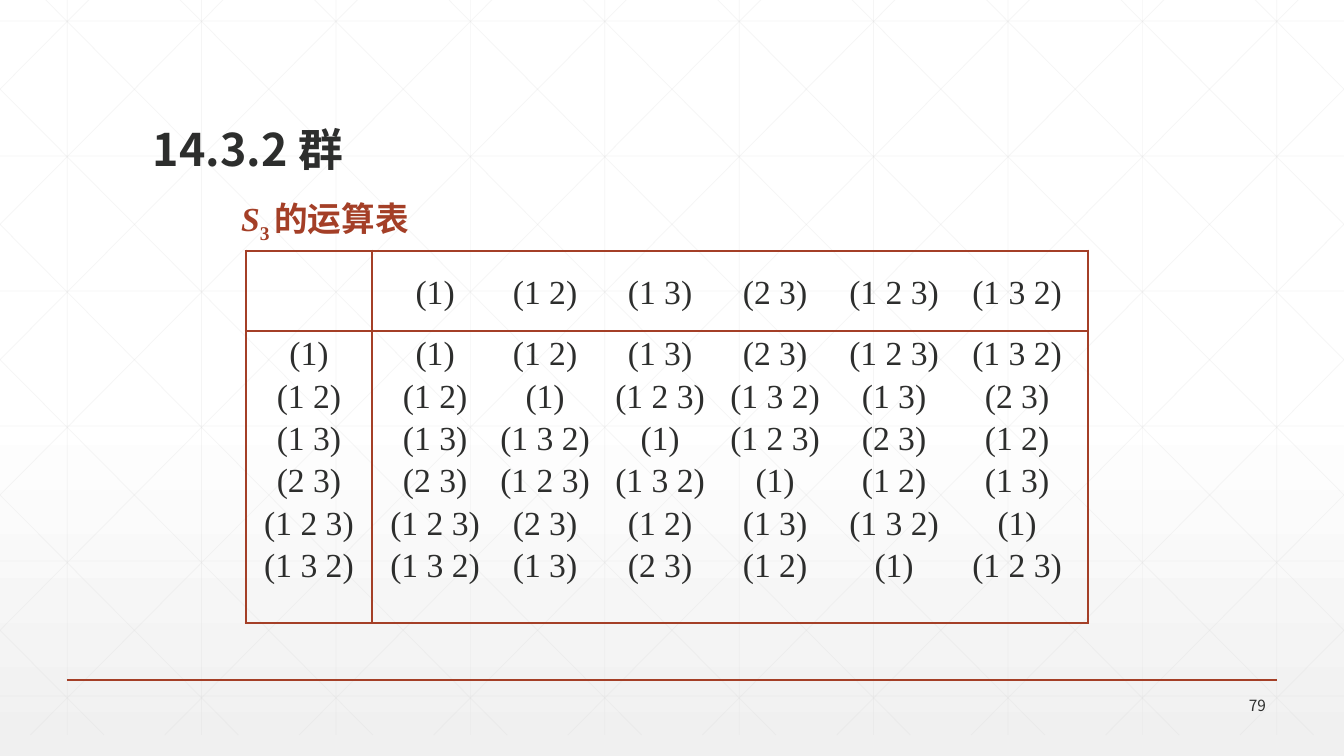
from pptx import Presentation, util as u
from pptx.dml.color import RGBColor
from pptx.enum import shapes, text
from pptx.oxml import parse_xml
from pptx.oxml.ns import nsdecls, qn

SANS, SERIF = "Noto Sans CJK SC", "Times New Roman"
RUST, INK, GRID = "A43F27", "2D2E2D", "D9D9D9"
WIDTH, HEIGHT = 1344, 756
BODY = {"name": SERIF, "size": 24, "color": INK}
CAPTION = {"name": SERIF, "size": 24, "color": RUST, "bold": True}

HEADING = [("14.3.2 群", {"name": SANS, "size": 32, "color": INK, "bold": True})]
CAPTION_RUNS = [
    ("S", {**CAPTION, "italic": True}),
    ("3 ", {**CAPTION, "baseline": -25}),
    ("的运算表", CAPTION),
]
PAGE_NUMBER = [("79", {"name": SANS, "size": 11, "color": INK})]
ELEMENTS = ["(1)", "(1 2)", "(1 3)", "(2 3)", "(1 2 3)", "(1 3 2)"]
PRODUCTS = [
    ["(1)", "(1 2)", "(1 3)", "(2 3)", "(1 2 3)", "(1 3 2)"],
    ["(1 2)", "(1)", "(1 2 3)", "(1 3 2)", "(1 3)", "(2 3)"],
    ["(1 3)", "(1 3 2)", "(1)", "(1 2 3)", "(2 3)", "(1 2)"],
    ["(2 3)", "(1 2 3)", "(1 3 2)", "(1)", "(1 2)", "(1 3)"],
    ["(1 2 3)", "(2 3)", "(1 2)", "(1 3)", "(1 3 2)", "(1)"],
    ["(1 3 2)", "(1 3)", "(2 3)", "(1 2)", "(1)", "(1 2 3)"],
]
TAB_CENTRES = [53, 163, 278, 393, 512, 635]
TABLE_BOX = (246, 251, 842, 372)
COLUMN_WIDTHS, ROW_HEIGHTS = (126, 716), (80, 292)
GRID_TOP, GRID_BOTTOM, DIAGONAL_RUN = -21, 735, 751


def px(length):
    """Turn slide pixels into EMU."""
    return u.Emu(round(length * 914400 / 100.8))


def rgb(value):
    """Turn a hex string into a colour."""
    return RGBColor.from_string(value)


def add_runs(paragraph, runs):
    """Write formatted runs into a paragraph."""
    for words, formats in runs:
        run = paragraph.add_run()
        run.text = words
        values = dict(formats)
        run.font.color.rgb = rgb(values.pop("color"))
        run.font.size = u.Pt(values.pop("size"))
        properties = run.font._element
        if "baseline" in values:
            properties.set("baseline", str(values.pop("baseline") * 1000))
        for name, value in values.items():
            setattr(run.font, name, value)
        properties.append(parse_xml(f'<a:ea {nsdecls("a")} typeface="{SANS}"/>'))


def fill_box(shape, box, runs, anchor, **formats):
    """Place a text shape and write its single paragraph."""
    shape.left, shape.top, shape.width, shape.height = map(px, box)
    frame = shape.text_frame
    frame.word_wrap = True
    frame.auto_size = text.MSO_AUTO_SIZE.NONE
    frame.vertical_anchor = anchor
    paragraph = frame.paragraphs[0]
    for name, value in formats.items():
        setattr(paragraph, name, value)
    add_runs(paragraph, runs)


def add_line(parent, start, end, color, width, opacity=100):
    """Draw a straight line without a shadow."""
    line = parent.add_connector(shapes.MSO_CONNECTOR.STRAIGHT, *map(px, (*start, *end)))
    line.line.color.rgb = rgb(color)
    line.line.width = u.Pt(width)
    if opacity < 100:
        swatch = next(line.element.iter(qn("a:srgbClr")))
        swatch.append(parse_xml(f'<a:alpha {nsdecls("a")} val="{opacity * 1000}"/>'))
    line.element.spPr.append(parse_xml(f'<a:effectLst {nsdecls("a")}/>'))


def grid_lines():
    """Yield the ends of upright, level and mirrored slanted grid lines."""
    step = WIDTH / 10
    for index in range(10):
        x = step * (index + 0.5)
        yield (x, GRID_TOP), (x, GRID_BOTTOM)
    for index in range(6):
        y = 21 + 135 * index
        yield (0, y), (WIDTH, y)
    slope = (GRID_BOTTOM - GRID_TOP) / DIAGONAL_RUN
    for index in range(-5, 10):
        origin = 25 + step * index
        ends = [(x, GRID_TOP + (x - origin) * slope)
                for x in (max(origin, 0), min(origin + DIAGONAL_RUN, WIDTH))]
        yield tuple(ends)
        yield tuple((WIDTH - x, y) for x, y in ends)


def fill_cell(cell, lines, tabs=(), **formats):
    """Write one paragraph per line, with centred tab stops."""
    for index, words in enumerate(lines):
        frame = cell.text_frame
        paragraph = frame.add_paragraph() if index else frame.paragraphs[0]
        for name, value in formats.items():
            setattr(paragraph, name, value)
        add_runs(paragraph, [(words, BODY)])
        if tabs:
            stops = "".join(f'<a:tab pos="{px(centre)}" algn="ctr"/>' for centre in tabs)
            paragraph._p.get_or_add_pPr().append(
                parse_xml(f'<a:tabLst {nsdecls("a")}>{stops}</a:tabLst>'))


def frame_cell(cell, outer_edges):
    """Give a cell clear fill, thick outer and thin inner borders."""
    properties = cell._tc.get_or_add_tcPr()
    for side in "LRTB":
        width = u.Pt(2.25 if side in outer_edges else 1)
        properties.append(parse_xml(
            f'<a:ln{side} {nsdecls("a")} w="{width}"><a:solidFill>'
            f'<a:srgbClr val="{RUST}"/></a:solidFill></a:ln{side}>'))
    cell.fill.background()


def add_operation_table(slide):
    """Build the group operation table."""
    table = slide.shapes.add_table(2, 2, *map(px, TABLE_BOX)).table
    table.first_row = table.horz_banding = False
    for column, width in zip(table.columns, COLUMN_WIDTHS):
        column.width = px(width)
    for row, height in zip(table.rows, ROW_HEIGHTS):
        row.height = px(height)
    for row in range(2):
        for column in range(2):
            frame_cell(table.cell(row, column), "TB"[row] + "LR"[column])
    header, *body = ["".join("\t" + item for item in row) for row in [ELEMENTS, *PRODUCTS]]
    gap = u.Pt(3.7)
    fill_cell(table.cell(0, 1), [header], TAB_CENTRES, line_spacing=1.5, space_before=u.Pt(18))
    fill_cell(table.cell(1, 0), ELEMENTS, alignment=text.PP_ALIGN.CENTER, space_before=gap)
    fill_cell(table.cell(1, 1), body, TAB_CENTRES, space_before=gap)


def main():
    """Build the slide and save it."""
    presentation = Presentation()
    presentation.slide_width, presentation.slide_height = px(WIDTH), px(HEIGHT)
    slide = presentation.slides.add_slide(presentation.slide_layouts[5])
    background = slide.background.fill
    background.gradient()
    background.gradient_angle = 270
    for stop, (position, color) in zip(background.gradient_stops, [(0.53, "FFFFFF"), (1, "F0F0F0")]):
        stop.position = position
        stop.color.rgb = rgb(color)

    grid = slide.shapes.add_group_shape()
    for start, end in grid_lines():
        add_line(grid.shapes, start, end, GRID, 0.5, 25)
    add_line(slide.shapes, (67, 680), (1277, 680), RUST, 1)

    anchors = text.MSO_ANCHOR
    number = slide.shapes.add_textbox(0, 0, 0, 0)
    fill_box(number, (1175, 693, 101, 24), PAGE_NUMBER, anchors.MIDDLE,
             alignment=text.PP_ALIGN.RIGHT)
    title = slide.shapes.title
    title.element.getparent().append(title.element)
    fill_box(title, (231, 119, 857, 126), CAPTION_RUNS, anchors.BOTTOM,
             alignment=text.PP_ALIGN.LEFT, line_spacing=0.9)
    add_operation_table(slide)
    heading = slide.shapes.add_textbox(0, 0, 0, 0)
    fill_box(heading, (143, 55, 1058, 126), HEADING, anchors.BOTTOM, line_spacing=0.9)
    presentation.save("out.pptx")


if __name__ == "__main__":
    main()
